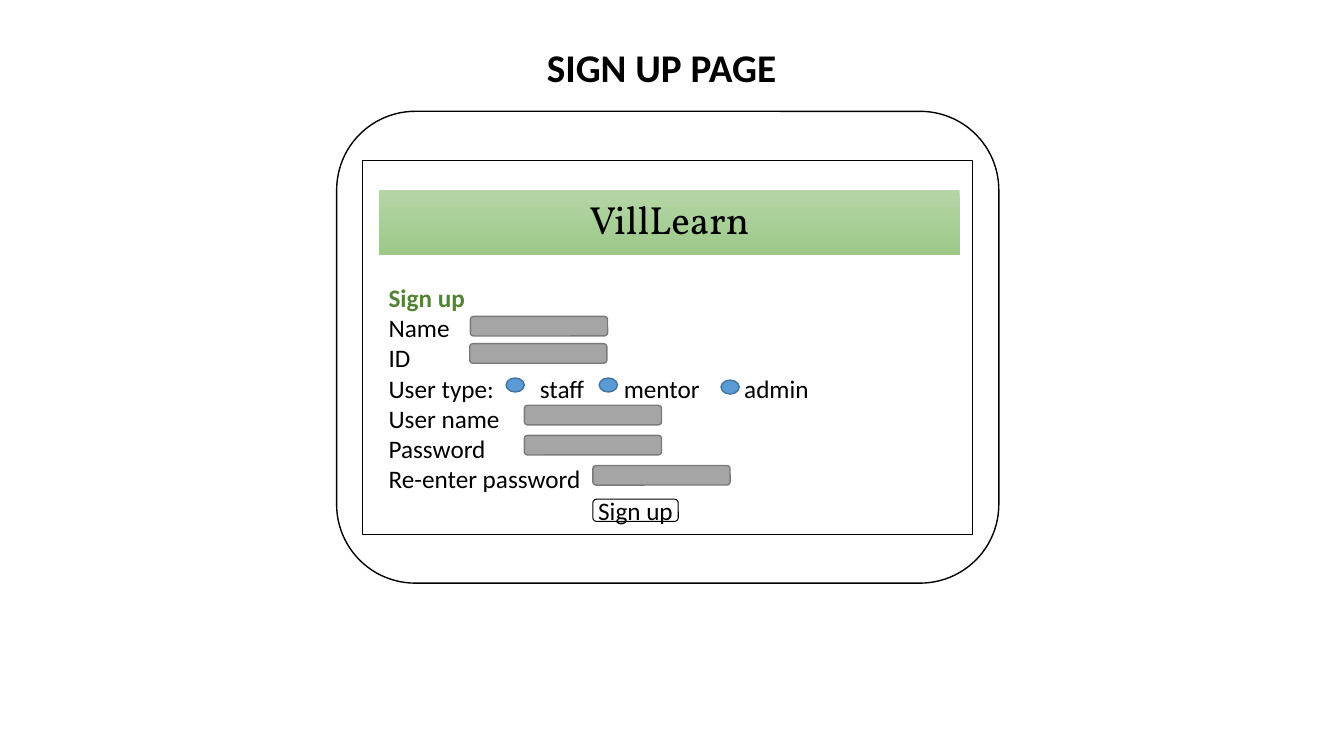
import pptx
import pptx.util
import pptx.dml.color
import pptx.enum.shapes
import pptx.enum.text
import lxml.etree
from dataclasses import dataclass

Pt = pptx.util.Pt
KIND = pptx.enum.shapes.MSO_SHAPE
ALIGN = pptx.enum.text.PP_ALIGN
ANCHOR = pptx.enum.text.MSO_ANCHOR


@dataclass(frozen=True)
class Theme:
    """Colours, fonts and type sizes of the slide."""
    ink: str = "000000"
    paper: str = "FFFFFF"
    accent: str = "548235"
    light: str = "B5D5A7"
    deep: str = "9CC987"
    field: str = "A5A5A5"
    edge: str = "7A7A7A"
    radio: str = "5B9BD5"
    ring: str = "43739E"
    body: str = "Calibri"
    brand: str = "Vollkorn"
    head: int = 28
    text: int = 18


THEME = Theme()
LABELS = ["Sign up", "Name", "ID", "User type:\tstaff\tmentor\tadmin",
          "User name", "Password", "Re-enter password"]
TABS = [108, 168, 254]
FIELDS = [(336, 226), (335.5, 245.5), (374.5, 289.5), (374.5, 311), (423.5, 332.5)]
RADIOS = [(361.5, 270), (428, 270), (515, 271.5)]


def color(code):
    """Turn a hex code into a colour."""
    return pptx.dml.color.RGBColor.from_string(code)


def style(para, size, font=THEME.body, ink=THEME.ink, bold=False, align=ALIGN.LEFT):
    """Format a paragraph and its runs."""
    para.alignment = align
    for run in para.runs:
        run.font.size = Pt(size)
        run.font.name = font
        run.font.bold = bold
        run.font.color.rgb = color(ink)


def add_shape(slide, kind, box, fill=None, line=None, width=1):
    """Add a flat shape with an optional fill and outline."""
    shape = slide.shapes.add_shape(kind, *map(Pt, box))
    shape.shadow.inherit = False
    if fill:
        shape.fill.solid()
        shape.fill.fore_color.rgb = color(fill)
    else:
        shape.fill.background()
    if line:
        shape.line.color.rgb = color(line)
        shape.line.width = Pt(width)
    else:
        shape.line.fill.background()
    return shape


def add_text(slide, box, lines):
    """Add a wrapping text box with one paragraph per line."""
    frame = slide.shapes.add_textbox(*map(Pt, box)).text_frame
    frame.word_wrap = True
    frame.text = "\n".join(lines)
    return frame.paragraphs


def set_tabs(para, stops):
    """Give a paragraph left tab stops, in points."""
    props = para._p.get_or_add_pPr()
    space = props.nsmap["a"]
    tabs = lxml.etree.SubElement(props, f"{{{space}}}tabLst")
    for stop in stops:
        lxml.etree.SubElement(tabs, f"{{{space}}}tab", pos=str(int(Pt(stop))), algn="l")


def add_banner(slide, box, name):
    """Add the gradient banner with the site name."""
    shape = add_shape(slide, KIND.RECTANGLE, box)
    shape.fill.gradient()
    shape.fill.gradient_angle = 270
    for stop, code in zip(shape.fill.gradient_stops, (THEME.light, THEME.deep)):
        stop.color.rgb = color(code)
    frame = shape.text_frame
    frame.vertical_anchor = ANCHOR.TOP
    frame.text = name
    style(frame.paragraphs[0], THEME.head, THEME.brand, align=ALIGN.CENTER)


def add_button(slide, box, label):
    """Add an outlined button with a centred label."""
    shape = add_shape(slide, KIND.ROUNDED_RECTANGLE, box, line=THEME.ink, width=0.75)
    frame = shape.text_frame
    frame.margin_left = frame.margin_right = frame.margin_top = frame.margin_bottom = 0
    frame.vertical_anchor = ANCHOR.MIDDLE
    frame.word_wrap = False
    frame.text = label
    style(frame.paragraphs[0], THEME.text, align=ALIGN.CENTER)


def add_form(slide):
    """Add the form labels, entry fields and radio buttons."""
    paras = add_text(slide, (270.5, 198, 366, 160), LABELS)
    for row, para in enumerate(paras):
        first = row == 0
        style(para, THEME.text, ink=THEME.accent if first else THEME.ink, bold=first)
    set_tabs(paras[3], TABS)
    for left, top in FIELDS:
        add_shape(slide, KIND.ROUNDED_RECTANGLE, (left, top, 98, 14),
                  THEME.field, THEME.edge)
    for left, top in RADIOS:
        add_shape(slide, KIND.OVAL, (left, top, 13, 10), THEME.radio, THEME.ring)


def main():
    """Build the sign up page and save it."""
    deck = pptx.Presentation()
    deck.slide_width, deck.slide_height = Pt(960), Pt(540)
    slide = deck.slides.add_slide(deck.slide_layouts[6])
    title = add_text(slide, (259, 27.5, 427, 41), ["SIGN UP PAGE"])[0]
    style(title, THEME.head, bold=True, align=ALIGN.CENTER)
    add_shape(slide, KIND.ROUNDED_RECTANGLE, (240.5, 79.5, 473, 337),
              THEME.paper, THEME.ink)
    add_shape(slide, KIND.RECTANGLE, (259, 114.5, 435.5, 267),
              line=THEME.ink, width=0.75)
    add_banner(slide, (270.5, 136, 415, 46), "VillLearn")
    add_form(slide)
    add_button(slide, (423.5, 356.5, 61, 16), "Sign up")
    deck.save("out.pptx")


main()
